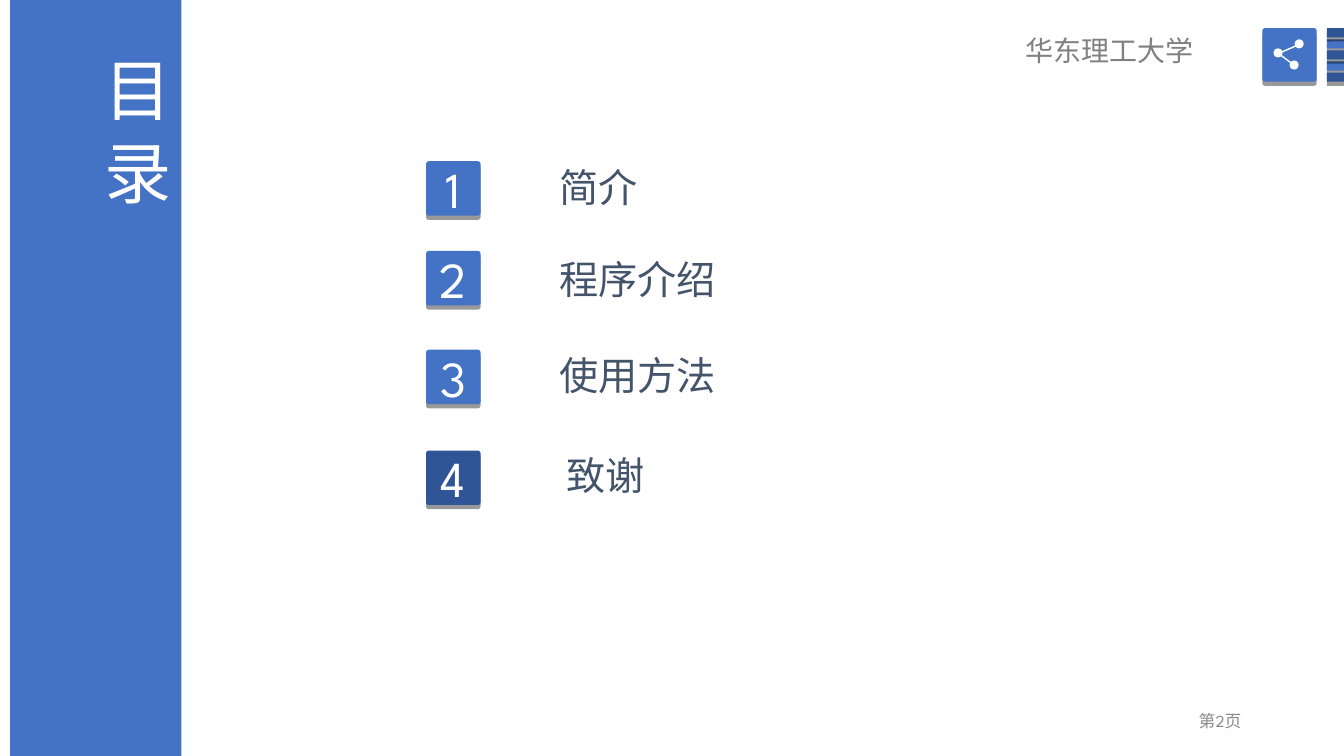
from lxml import etree
from pptx import Presentation
from pptx import util as u
from pptx.dml import color
from pptx.enum import shapes, text
from pptx.oxml import ns

BLUE, NAVY, WHITE, SLATE = "4472C4", "2F5597", "FFFFFF", "44546A"
CJK, LATIN = "Noto Sans CJK SC", "League Spartan"
ENTRIES = [
    ("1", "简介", BLUE, 1.6, 5.16, 1.57),
    ("2", "程序介绍", BLUE, 2.49, 5.16, 2.48),
    ("3", "使用方法", BLUE, 3.47, 5.16, 3.44),
    ("4", "致谢", NAVY, 4.47, 5.23, 4.43),
]


def rgb(value):
    """Turn a hex string into a colour."""
    return color.RGBColor.from_string(value)


def add_block(slide, kind, box, fill):
    """Add a plain filled shape without line or shadow."""
    shape = slide.shapes.add_shape(kind, *map(u.Inches, box))
    shape.shadow.inherit = False
    shape.fill.solid()
    shape.fill.fore_color.rgb = rgb(fill)
    shape.line.fill.background()
    return shape


def add_tile(slide, box, fill):
    """Add a slightly rounded tile with a hard shadow below it."""
    tile = add_block(slide, shapes.MSO_SHAPE.ROUNDED_RECTANGLE, box, fill)
    tile.adjustments[0] = 0.05
    effects = tile._element.spPr.find(ns.qn("a:effectLst"))
    shadow = etree.SubElement(effects, ns.qn("a:outerShdw"), blurRad="0",
                              dist=str(u.Pt(3)), dir="5400000", algn="t", rotWithShape="0")
    shade = etree.SubElement(shadow, ns.qn("a:srgbClr"), val="000000")
    etree.SubElement(shade, ns.qn("a:alpha"), val="40000")
    return tile


def write(shape, words, size, font, ink, align, anchor, insets, wrap=True):
    """Write one styled line into a shape."""
    frame = shape.text_frame
    frame.word_wrap = wrap
    frame.vertical_anchor = anchor
    frame.margin_left, frame.margin_top, frame.margin_right, frame.margin_bottom = map(u.Inches, insets)
    paragraph = frame.paragraphs[0]
    paragraph.alignment = align
    run = paragraph.add_run()
    run.text = words
    run.font.size = u.Pt(size)
    run.font.name = font
    run.font.color.rgb = rgb(ink)
    etree.SubElement(run._r.get_or_add_rPr(), ns.qn("a:ea"), typeface=CJK)


def add_text(slide, box, *style, **options):
    """Add a text box holding one styled line."""
    write(slide.shapes.add_textbox(*map(u.Inches, box)), *style, **options)


def add_sidebar(slide, box):
    """Draw the blue band with its vertical title."""
    band = add_block(slide, shapes.MSO_SHAPE.RECTANGLE, box, BLUE)
    write(band, "目 录", 48, "Lato", WHITE, text.PP_ALIGN.CENTER,
          text.MSO_ANCHOR.TOP, (0.05, 0.59, 0.05, 0.39))
    band.text_frame._txBody.bodyPr.set("vert", "eaVert")


def add_entry(slide, left, number, label, fill, top, label_left, label_top):
    """Draw one numbered line of the contents."""
    tile = add_tile(slide, (left, top, 0.54, 0.54), fill)
    write(tile, number, 36, LATIN, WHITE, text.PP_ALIGN.CENTER,
          text.MSO_ANCHOR.MIDDLE, (0, 0.05, 0, 0.05), wrap=False)
    add_text(slide, (label_left, label_top, 2.34, 0.57), label, 28, CJK, SLATE,
             text.PP_ALIGN.LEFT, text.MSO_ANCHOR.TOP, (0.39, 0.05, 0.39, 0.05), wrap=False)


def add_share_icon(slide, left, top):
    """Draw three dots joined by two lines on a tile."""
    add_tile(slide, (left, top, 0.54, 0.53), BLUE)
    hub, *ends = [(left + x, top + y) for x, y in ((0.16, 0.25), (0.37, 0.16), (0.32, 0.37))]
    for end in ends:
        link = slide.shapes.add_connector(shapes.MSO_CONNECTOR.STRAIGHT, *map(u.Inches, hub + end))
        link.line.color.rgb = rgb(WHITE)
        link.line.width = u.Pt(1)
        etree.SubElement(link._element.spPr, ns.qn("a:effectLst"))
    for x, y in (hub, *ends):
        add_block(slide, shapes.MSO_SHAPE.OVAL, (x - 0.05, y - 0.05, 0.09, 0.09), WHITE)


def add_header(slide, left, top, width):
    """Draw the school name, the share icon and the striped edge."""
    add_text(slide, (left, top, width, 0.77), "华东理工大学", 20, CJK, "808080",
             text.PP_ALIGN.RIGHT, text.MSO_ANCHOR.TOP, (0.1, 0.05, 0.48, 0.05))
    add_share_icon(slide, left + width + 0.2, top)
    for index in (3, 4, 1, 2, 0):
        add_tile(slide, (left + width + 0.84, top + 0.11 * index, 0.17, 0.09),
                 BLUE if index % 2 else NAVY)


def add_page_number(slide, box):
    """Write the page number at the lower right."""
    add_text(slide, box, "第2页", 12, LATIN, "898989", text.PP_ALIGN.RIGHT,
             text.MSO_ANCHOR.MIDDLE, (0.1, 0.05, 0.1, 0.05))


def main():
    """Build the contents slide and save it."""
    presentation = Presentation()
    presentation.slide_width, presentation.slide_height = u.Inches(13.34), u.Inches(7.5)
    slide = presentation.slides.add_slide(presentation.slide_layouts[6])
    add_sidebar(slide, (0.1, -0.03, 1.7, 7.53))
    for entry in ENTRIES:
        add_entry(slide, 4.23, *entry)
    add_header(slide, 7.7, 0.28, 4.63)
    add_page_number(slide, (9.42, 6.95, 3, 0.4))
    presentation.save("out.pptx")


if __name__ == "__main__":
    main()
